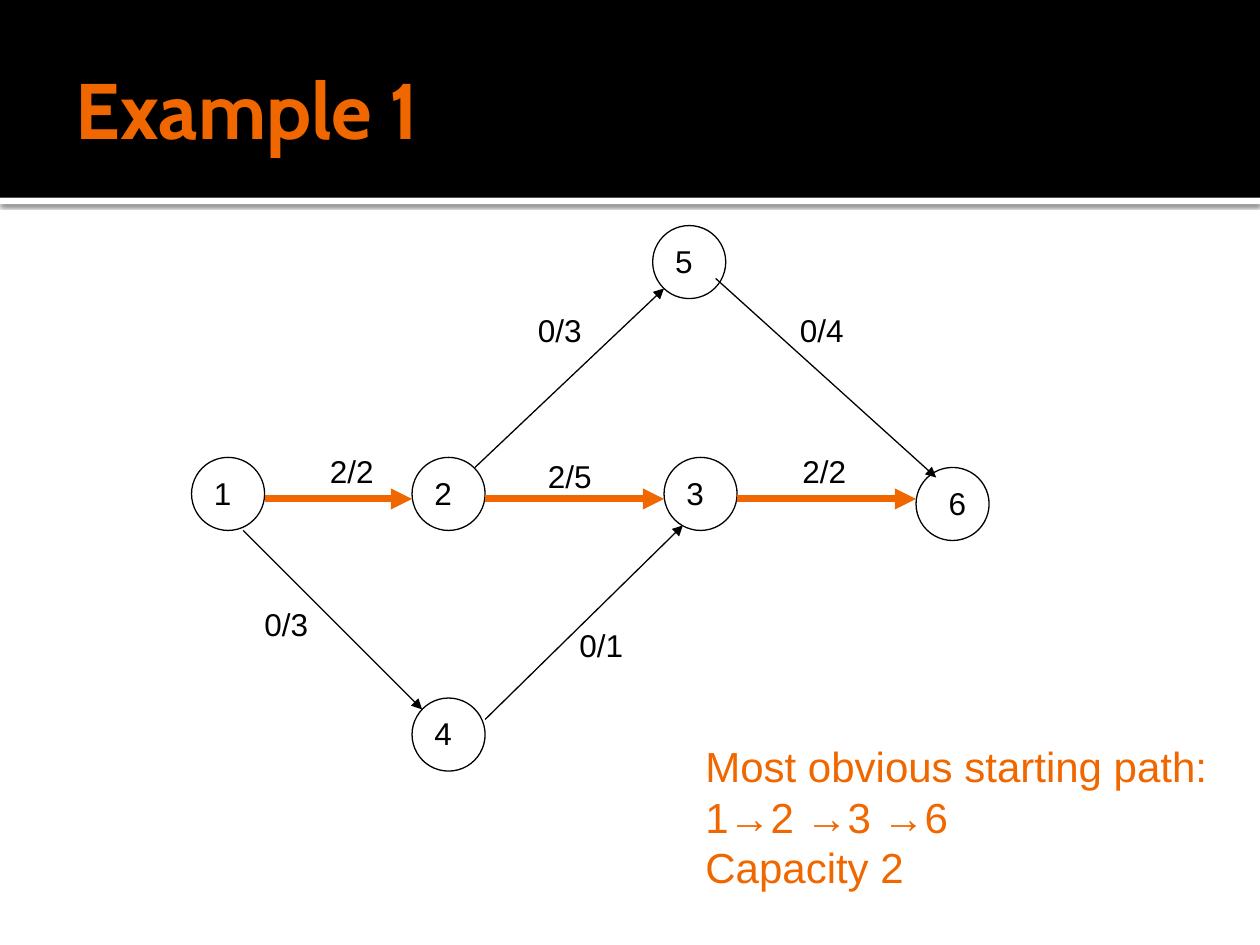
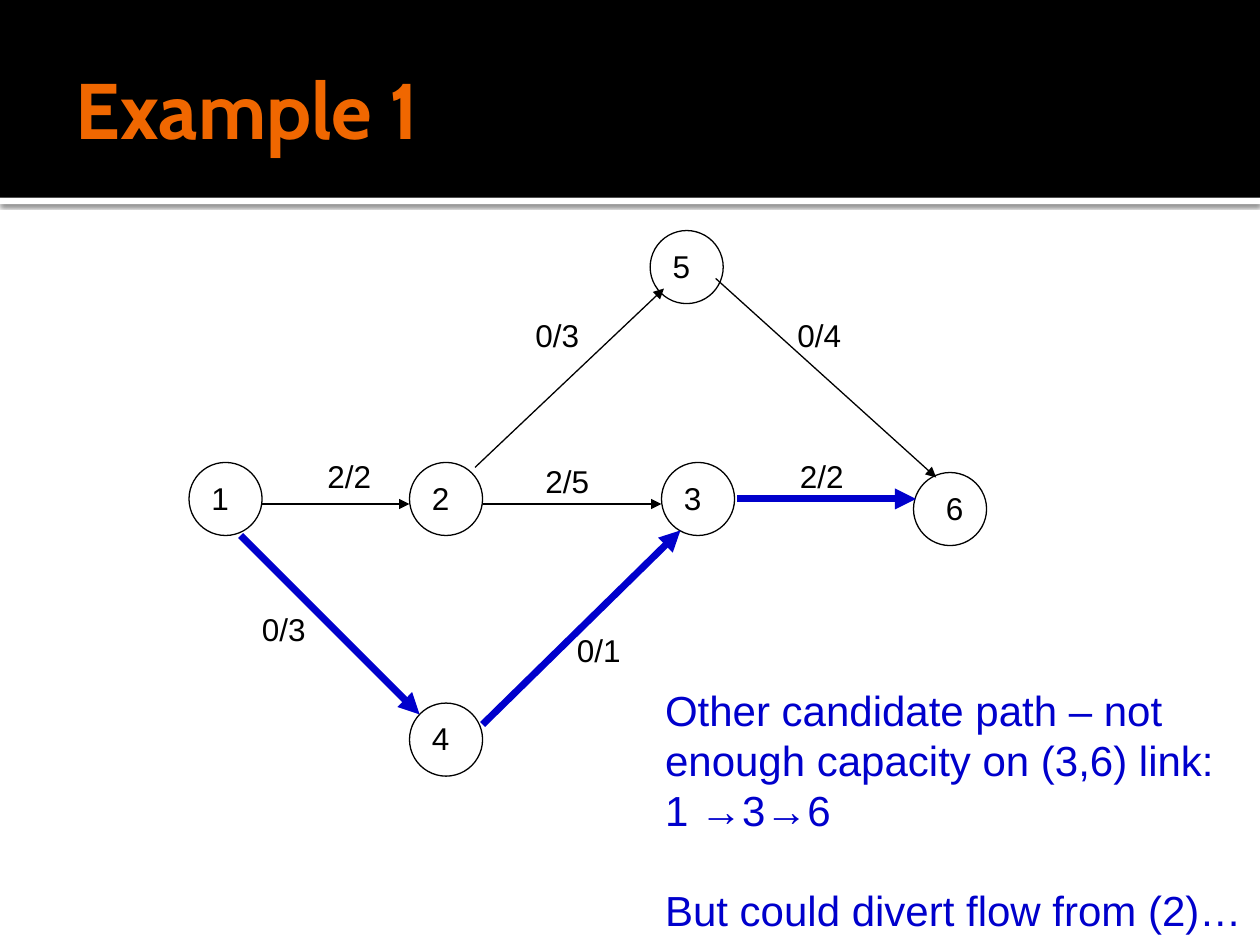
import lxml.etree
import pptx
import pptx.dml.color
import pptx.enum.shapes
import pptx.enum.text
import pptx.oxml.ns
import pptx.util
from pptx.util import Inches

COLORS = {"black": "000000", "white": "FFFFFF", "orange": "F06700", "blue": "0000CC"}
BODY = {"name": "Arial", "size": pptx.util.Pt(18)}
CAPTION = {"name": "Arial", "size": pptx.util.Pt(24)}
TITLE = {"name": "Cabin", "size": pptx.util.Pt(45), "bold": True}
INSETS = {"margin_left": 0.1, "margin_top": 0.05, "margin_right": 0.05, "margin_bottom": 0.05}

NODE_SIZE = 0.58
# Node number: left, top, horizontal offset of its number
NODES = {
    1: (1.52, 3.63, 0.08), 2: (3.27, 3.63, 0.08), 3: (5.27, 3.63, 0.08),
    4: (3.27, 5.54, 0.08), 5: (5.18, 1.79, 0.08), 6: (7.27, 3.71, 0.16),
}
# Link: start point, end point, flow/capacity, label position
LINKS = {
    (1, 4): ((1.93, 4.21), (3.35, 5.63), "0/3", (2, 4.75)),
    (1, 2): ((2.1, 3.96), (3.27, 3.96), "2/2", (2.52, 3.54)),
    (2, 5): ((3.77, 3.71), (5.27, 2.29), "0/3", (4.17, 2.42)),
    (2, 3): ((3.85, 3.96), (5.27, 3.96), "2/5", (4.25, 3.58)),
    (4, 3): ((3.85, 5.71), (5.42, 4.17), "0/1", (4.5, 4.92)),
    (3, 6): ((5.85, 3.96), (7.27, 3.96), "2/2", (6.27, 3.54)),
    (5, 6): ((5.68, 2.21), (7.43, 3.79), "0/4", (6.25, 2.42)),
}


def rgb(color):
    return pptx.dml.color.RGBColor.from_string(COLORS[color])


def add_effects(shape):
    return lxml.etree.SubElement(
        shape._element.spPr, pptx.oxml.ns.qn("a:effectLst"))


def add_span(para, text, font, color):
    span = para.add_run()
    span.text = text
    for key, value in font.items():
        setattr(span.font, key, value)
    span.font.color.rgb = rgb(color)


def add_text(page, place, paragraphs, font, color, wrap=False):
    """Each paragraph is a list of lines."""
    box = page.shapes.add_textbox(*map(Inches, place))
    frame = box.text_frame
    frame.word_wrap = wrap
    if not wrap:
        frame.auto_size = pptx.enum.text.MSO_AUTO_SIZE.SHAPE_TO_FIT_TEXT
    for index, lines in enumerate(paragraphs):
        para = frame.add_paragraph() if index else frame.paragraphs[0]
        for number, line in enumerate(lines):
            if number:
                para.add_line_break()
            add_span(para, line, font, color)
    return frame


def add_band(page, top, height, color):
    band = page.shapes.add_shape(
        pptx.enum.shapes.MSO_SHAPE.RECTANGLE, 0, Inches(top), Inches(10), Inches(height))
    band.fill.solid()
    band.fill.fore_color.rgb = rgb(color)
    band.line.fill.background()
    return band


def add_header(page, title):
    # White rule with a soft shadow under the black band
    rule = add_band(page, 1.57, 0.05, "white")
    qn = pptx.oxml.ns.qn
    shadow = lxml.etree.SubElement(
        add_effects(rule), qn("a:outerShdw"),
        blurRad=str(pptx.util.Pt(2.5)), dist=str(pptx.util.Pt(0.8)), dir="5400000")
    tint = lxml.etree.SubElement(shadow, qn("a:srgbClr"), val=COLORS["black"])
    lxml.etree.SubElement(tint, qn("a:alpha"), val="60000")
    add_band(page, 0, 1.57, "black").shadow.inherit = False

    frame = add_text(page, (0.5, 0.17, 9, 1.37), [[title]], TITLE, "orange", wrap=True)
    frame.vertical_anchor = pptx.enum.text.MSO_ANCHOR.MIDDLE
    for key, value in INSETS.items():
        setattr(frame, key, Inches(value))


def add_node(page, number, left, top, offset):
    circle = page.shapes.add_shape(
        pptx.enum.shapes.MSO_SHAPE.OVAL, *map(Inches, (left, top, NODE_SIZE, NODE_SIZE)))
    circle.shadow.inherit = False
    circle.fill.background()
    circle.line.color.rgb = rgb("black")
    circle.line.width = pptx.util.Pt(0.75)
    add_text(page, (left + offset, top + 0.08, 0.34, 0.4), [[str(number)]], BODY, "black")


def add_arrow(page, start, end, color, width):
    arrow = page.shapes.add_connector(
        pptx.enum.shapes.MSO_CONNECTOR.STRAIGHT, *map(Inches, (*start, *end)))
    arrow.line.color.rgb = rgb(color)
    arrow.line.width = pptx.util.Pt(width)
    lxml.etree.SubElement(
        arrow.line._get_or_add_ln(), pptx.oxml.ns.qn("a:tailEnd"), type="triangle")
    add_effects(arrow)


def add_network(page, route, color, shift=(0, 0), unshifted=()):
    """Draw the flow network with the links of one route highlighted."""
    def moved(point):
        return point[0] + shift[0], point[1] + shift[1]

    for number, (left, top, offset) in NODES.items():
        add_node(page, number, *moved((left, top)), offset)
    for link, (start, end, flow, label) in LINKS.items():
        if link not in unshifted:
            start, end = moved(start), moved(end)
        style = (color, 4) if link in route else ("black", 0.75)
        add_arrow(page, start, end, *style)
        add_text(page, (*moved(label), 0.55, 0.4), [[flow]], BODY, "black")


def add_page(deck):
    page = deck.slides.add_slide(deck.slide_layouts[6])
    add_header(page, "Example 1")
    return page


def main():
    deck = pptx.Presentation()
    deck.slide_width, deck.slide_height = Inches(10), Inches(7.5)

    # Starting path
    page = add_page(deck)
    add_network(page, [(1, 2), (2, 3), (3, 6)], "orange")
    add_text(page, (5.5, 5.83, 4.23, 1.31),
             [["Most obvious starting path:"], ["1→2 →3 →6"], ["Capacity 2"]],
             CAPTION, "orange")

    # Other candidate path
    page = add_page(deck)
    add_network(page, [(1, 4), (4, 3), (3, 6)], "blue", shift=(-0.02, 0.04),
                unshifted=[(2, 5), (5, 6), (3, 6)])
    frame = add_text(page, (5.18, 5.38, 4.82, 2.12),
                     [["Other candidate path – not", "enough capacity on (3,6) link:"],
                      ["1 →3→6"], ["But could divert flow from (2)…"]],
                     CAPTION, "blue")
    frame.paragraphs[-1].space_before = pptx.util.Pt(28)

    deck.save("out.pptx")


if __name__ == "__main__":
    main()
